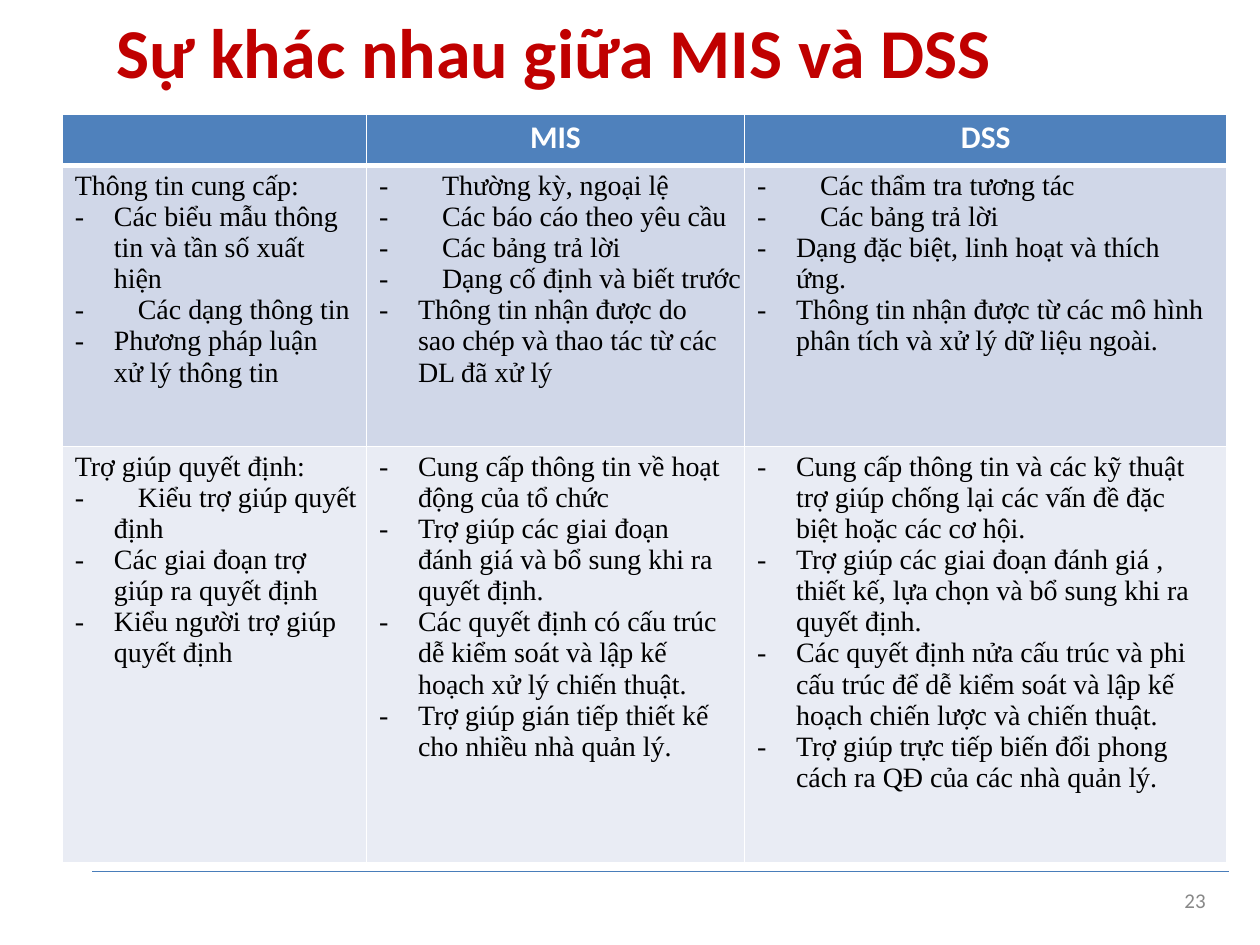
from lxml import etree
from pptx import Presentation
from pptx.dml.color import RGBColor
from pptx.enum.shapes import MSO_CONNECTOR
from pptx.enum.text import MSO_ANCHOR, PP_ALIGN
from pptx.oxml.ns import qn
from pptx.util import Pt

RED = RGBColor(0xC0, 0x00, 0x00)
BLUE = RGBColor(0x4F, 0x81, 0xBC)
RULE = RGBColor(0x49, 0x7D, 0xBA)
GRAY = RGBColor(0x88, 0x88, 0x88)
WHITE = RGBColor(0xFF, 0xFF, 0xFF)
BLACK = RGBColor(0x00, 0x00, 0x00)
BANDS = [RGBColor(0xD0, 0xD7, 0xE8), RGBColor(0xE9, 0xEC, 0xF4)]

# Paragraph styles: left margin, first-line indent, dash in front
HEAD = (7.2, 0, False)
NEAR = (7.2, 0, True)
HANG = (29.5, -22.3, True)
REST = (29.5, 0, False)
TAB = 29.5

ROWS = [
    [
        [(HEAD, "Thông tin cung cấp:"),
         (HANG, "Các biểu mẫu thông\ntin và tần số xuất\nhiện"),
         (NEAR, "Các dạng thông tin"),
         (HANG, "Phương pháp luận\nxử lý thông tin")],
        [(NEAR, "Thường kỳ, ngoại lệ"),
         (NEAR, "Các báo cáo theo yêu cầu"),
         (NEAR, "Các bảng trả lời"),
         (NEAR, "Dạng cố định và biết trước"),
         (HANG, "Thông tin nhận được do\nsao chép và thao tác từ các\nDL đã xử lý")],
        [(NEAR, "Các thẩm tra tương tác"),
         (NEAR, "Các bảng trả lời"),
         (HANG, "Dạng đặc biệt, linh hoạt và thích\nứng."),
         (HANG, "Thông tin nhận được từ các mô hình\nphân tích và xử lý dữ liệu ngoài.")],
    ],
    [
        [(HEAD, "Trợ giúp quyết định:"),
         (NEAR, "Kiểu trợ giúp quyết"),
         (REST, "định"),
         (HANG, "Các giai đoạn trợ\ngiúp ra quyết định"),
         (HANG, "Kiểu người trợ giúp\nquyết định")],
        [(HANG, "Cung cấp thông tin về hoạt\nđộng của tổ chức"),
         (HANG, "Trợ giúp các giai đoạn\nđánh giá và bổ sung khi ra\nquyết định."),
         (HANG, "Các quyết định có cấu trúc\ndễ kiểm soát và lập kế\nhoạch xử lý chiến thuật."),
         (HANG, "Trợ giúp gián tiếp thiết kế\ncho nhiều nhà quản lý.")],
        [(HANG, "Cung cấp thông tin và các kỹ thuật\ntrợ giúp chống lại các vấn đề đặc\n"
                "biệt hoặc các cơ hội."),
         (HANG, "Trợ giúp các giai đoạn đánh giá ,\nthiết kế, lựa chọn và bổ sung khi ra\n"
                "quyết định."),
         (HANG, "Các quyết định nửa cấu trúc và phi\ncấu trúc để dễ kiểm soát và lập kế\n"
                "hoạch chiến lược và chiến thuật."),
         (HANG, "Trợ giúp trực tiếp biến đổi phong\ncách ra QĐ của các nhà quản lý.")],
    ],
]


def write(para, text, face, size, color, bold=False):
    """Add text to a paragraph, one run per line."""
    for i, line in enumerate(text.split("\n")):
        if i:
            para.add_line_break()
        run = para.add_run()
        run.text = line
        run.font.name = face
        run.font.size = Pt(size)
        run.font.bold = bold
        run.font.color.rgb = color


def dress(cell, fill, top, wide):
    """Set fill, margins and white borders; wide maps a side to its width."""
    cell.fill.solid()
    cell.fill.fore_color.rgb = fill
    cell.margin_left = cell.margin_right = cell.margin_bottom = 0
    cell.margin_top = Pt(top)
    cell.vertical_anchor = MSO_ANCHOR.TOP
    props = cell._tc.get_or_add_tcPr()
    for i, side in enumerate("LRTB"):
        line = etree.Element(qn("a:ln" + side), w=str(Pt(wide.get(side, 1))))
        paint = etree.SubElement(line, qn("a:solidFill"))
        etree.SubElement(paint, qn("a:srgbClr"), val=str(WHITE))
        props.insert(i, line)


deck = Presentation()
deck.slide_width, deck.slide_height = Pt(720), Pt(540)
slide = deck.slides.add_slide(deck.slide_layouts[5])

# Title
title = slide.shapes.title
title.left, title.top, title.width, title.height = Pt(66.5), Pt(3.6), Pt(502.5), Pt(50.4)
frame = title.text_frame
frame.margin_left = frame.margin_right = frame.margin_bottom = 0
frame.margin_top = Pt(1)
frame.vertical_anchor = MSO_ANCHOR.TOP
frame.paragraphs[0].alignment = PP_ALIGN.LEFT
write(frame.paragraphs[0], "Sự khác nhau giữa MIS và DSS", "Calibri", 40, RED, True)

# Footer rule and page number
rule = slide.shapes.add_connector(MSO_CONNECTOR.STRAIGHT, Pt(52.6), Pt(498), Pt(702), Pt(498))
rule.line.color.rgb = RULE
rule.line.width = Pt(0.78)
etree.SubElement(rule._element.spPr, qn("a:effectLst"))

page = slide.shapes.add_textbox(Pt(674), Pt(509), Pt(19.5), Pt(13.7)).text_frame
page.word_wrap = True
page.margin_left = Pt(2.9)
page.margin_right = page.margin_top = page.margin_bottom = 0
page.paragraphs[0].line_spacing = Pt(12.4)
write(page.paragraphs[0], "23", "Calibri", 12, GRAY)

# Comparison table
wides, highs = [173.8, 216, 275.8], [29, 160.5, 238]
table = slide.shapes.add_table(3, 3, Pt(35.6), Pt(65.5), Pt(sum(wides)), Pt(sum(highs))).table
table.horz_banding = False
for col, wide in zip(table.columns, wides):
    col.width = Pt(wide)
for row, high in zip(table.rows, highs):
    row.height = Pt(high)

for c, label in enumerate(["", "MIS", "DSS"]):
    cell = table.cell(0, c)
    dress(cell, BLUE, 2.2, {"B": 3})
    if label:
        para = cell.text_frame.paragraphs[0]
        para.alignment = PP_ALIGN.CENTER
        write(para, label, "Calibri", 18, WHITE, True)

for r, row in enumerate(ROWS):
    for c, items in enumerate(row):
        cell = table.cell(r + 1, c)
        dress(cell, BANDS[r], 2.9, {"T": 1 if r else 3})
        for i, (style, text) in enumerate(items):
            frame = cell.text_frame
            para = frame.add_paragraph() if i else frame.paragraphs[0]
            left, first, dash = style
            props = para._p.get_or_add_pPr()
            props.set("marL", str(Pt(left)))
            props.set("indent", str(Pt(first)))
            if dash:
                tabs = etree.SubElement(props, qn("a:tabLst"))
                etree.SubElement(tabs, qn("a:tab"), pos=str(Pt(TAB)), algn="l")
                text = "-\t" + text
            write(para, text, "Times New Roman", 16, BLACK)

deck.save("out.pptx")
